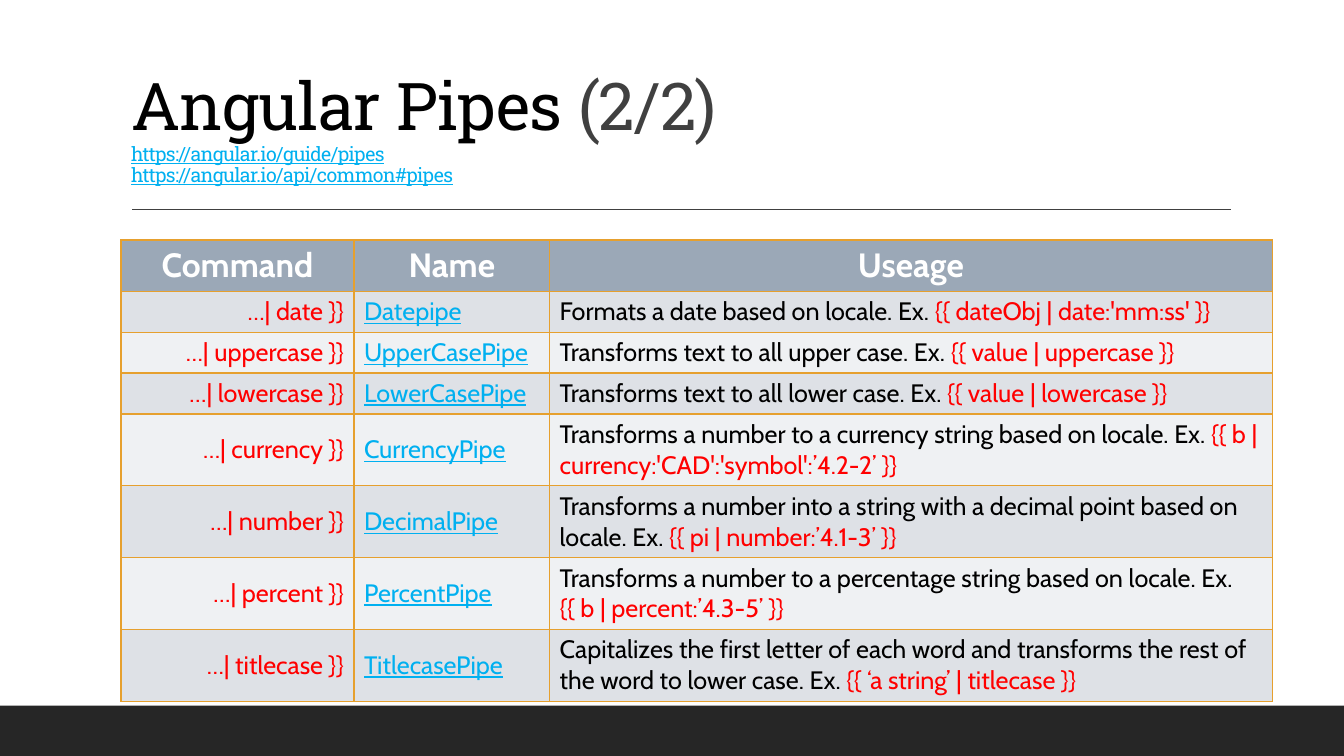
from lxml import etree
from pptx import Presentation
from pptx import util as u
from pptx.dml.color import RGBColor
from pptx.enum import shapes, text
from pptx.oxml.ns import qn

# Content
TITLE = "Angular Pipes "
PART = "(2/2)"
LINKS = ["https://angular.io/guide/pipes", "https://angular.io/api/common#pipes"]
HEADINGS = ["Command", "Name", "Useage"]
PIPES = [  # command, name, description, example, lines of text
    ("date", "Datepipe", "Formats a date based on locale.",
     "{{ dateObj | date:'mm:ss' }}", 1),
    ("uppercase", "UpperCasePipe", "Transforms text to all upper case.",
     "{{ value | uppercase }}", 1),
    ("lowercase", "LowerCasePipe", "Transforms text to all lower case.",
     "{{ value | lowercase }}", 1),
    ("currency", "CurrencyPipe", "Transforms a number to a currency string based on locale.",
     "{{ b | currency:'CAD':'symbol':’4.2-2’ }}", 2),
    ("number", "DecimalPipe",
     "Transforms a number into a string with a decimal point based on locale.",
     "{{ pi | number:’4.1-3’ }}", 2),
    ("percent", "PercentPipe", "Transforms a number to a percentage string based on locale.",
     "{{ b | percent:’4.3-5’ }}", 2),
    ("titlecase", "TitlecasePipe",
     "Capitalizes the first letter of each word and transforms the rest of the word to lower case.",
     "{{ ‘a string’ | titlecase }}", 2),
]
COLORS = {"black": "000000", "white": "FFFFFF", "gray": "404040", "bar": "262626",
          "link": "00B0F0", "code": "FF0000", "border": "E6A02E",
          "header": "9BA8B7", "odd": "DEE1E6", "even": "EFF1F3"}
TITLE_FONT, TABLE_FONT = "Roboto Slab", "Cabin"

# Measures in centimetres
LEFT, TABLE_TOP = 3.05, 6.05
COLUMN_WIDTHS = [5.87, 4.93, 18.21]
HEADER_HEIGHT = 1.29
ROW_HEIGHTS = {1: 1.03, 2: 1.81}


def color(name):
    return RGBColor.from_string(COLORS[name])


def add_span(para, words, font=TABLE_FONT, size=18, fill="black",
             bold=False, underline=False, spacing=None):
    span = para.add_run()
    span.text = words
    span.font.name, span.font.size = font, u.Pt(size)
    span.font.bold, span.font.underline = bold, underline
    span.font.color.rgb = color(fill)
    if spacing is not None:
        span.font._element.set("spc", str(int(spacing * 100)))


def add_borders(cell):
    properties = cell._tc.get_or_add_tcPr()
    for side in ("a:lnL", "a:lnR", "a:lnT", "a:lnB"):
        line = etree.SubElement(properties, qn(side), w=str(u.Pt(1)))
        solid = etree.SubElement(line, qn("a:solidFill"))
        etree.SubElement(solid, qn("a:srgbClr"), val=COLORS["border"])


def fill_cell(cell, spans, background, align):
    add_borders(cell)
    cell.fill.solid()
    cell.fill.fore_color.rgb = color(background)
    cell.vertical_anchor = text.MSO_ANCHOR.MIDDLE
    para = cell.text_frame.paragraphs[0]
    para.alignment = align
    for words, style in spans:
        add_span(para, words, **style)


deck = Presentation()
deck.slide_width, deck.slide_height = u.Cm(33.87), u.Cm(19.05)
page = deck.slides.add_slide(deck.slide_layouts[5])

# Footer bar and rule under the title
bar = page.shapes.add_shape(shapes.MSO_SHAPE.RECTANGLE, 0, u.Cm(17.78),
                            deck.slide_width, u.Cm(1.27))
bar.shadow.inherit = False
bar.fill.solid()
bar.fill.fore_color.rgb = color("bar")
bar.line.fill.background()

rule = page.shapes.add_connector(shapes.MSO_CONNECTOR.STRAIGHT,
                                 u.Cm(3.33), u.Cm(5.28), u.Cm(31.01), u.Cm(5.28))
rule.line.color.rgb = color("gray")
rule.line.width = u.Pt(1)
etree.SubElement(rule._element.spPr, qn("a:effectLst"))

# Title with the two links
box = page.shapes.title
box.left, box.top, box.width, box.height = u.Cm(LEFT), u.Cm(0.79), u.Cm(27.94), u.Cm(4.04)
frame = box.text_frame
frame.word_wrap = True
frame.auto_size = text.MSO_AUTO_SIZE.NONE
frame.vertical_anchor = text.MSO_ANCHOR.BOTTOM
para = frame.paragraphs[0]
para.alignment = text.PP_ALIGN.LEFT
para.line_spacing = 0.9
for words, fill in ((TITLE, "black"), (PART, "gray")):
    add_span(para, words, font=TITLE_FONT, size=47, fill=fill, spacing=-0.5)
for link in LINKS:
    para.add_line_break()
    add_span(para, link, font=TITLE_FONT, size=14, fill="link", underline=True, spacing=-0.5)

# Table of pipes
heights = [HEADER_HEIGHT] + [ROW_HEIGHTS[pipe[-1]] for pipe in PIPES]
table = page.shapes.add_table(len(heights), len(COLUMN_WIDTHS), u.Cm(LEFT), u.Cm(TABLE_TOP),
                              u.Cm(sum(COLUMN_WIDTHS)), u.Cm(sum(heights))).table
for column, width in zip(table.columns, COLUMN_WIDTHS):
    column.width = u.Cm(width)
for row, height in zip(table.rows, heights):
    row.height = u.Cm(height)

for index, heading in enumerate(HEADINGS):
    fill_cell(table.cell(0, index), [(heading, dict(size=24, fill="white", bold=True))],
              "header", text.PP_ALIGN.CENTER)

for number, (command, name, description, example, _) in enumerate(PIPES, 1):
    columns = [
        ([(f"…| {command} }}}}", dict(fill="code"))], text.PP_ALIGN.RIGHT),
        ([(name, dict(fill="link", underline=True))], text.PP_ALIGN.LEFT),
        ([(f"{description} Ex. ", {}), (example, dict(fill="code"))], text.PP_ALIGN.LEFT),
    ]
    background = "odd" if number % 2 else "even"
    for index, (spans, align) in enumerate(columns):
        fill_cell(table.cell(number, index), spans, background, align)

deck.save("out.pptx")
